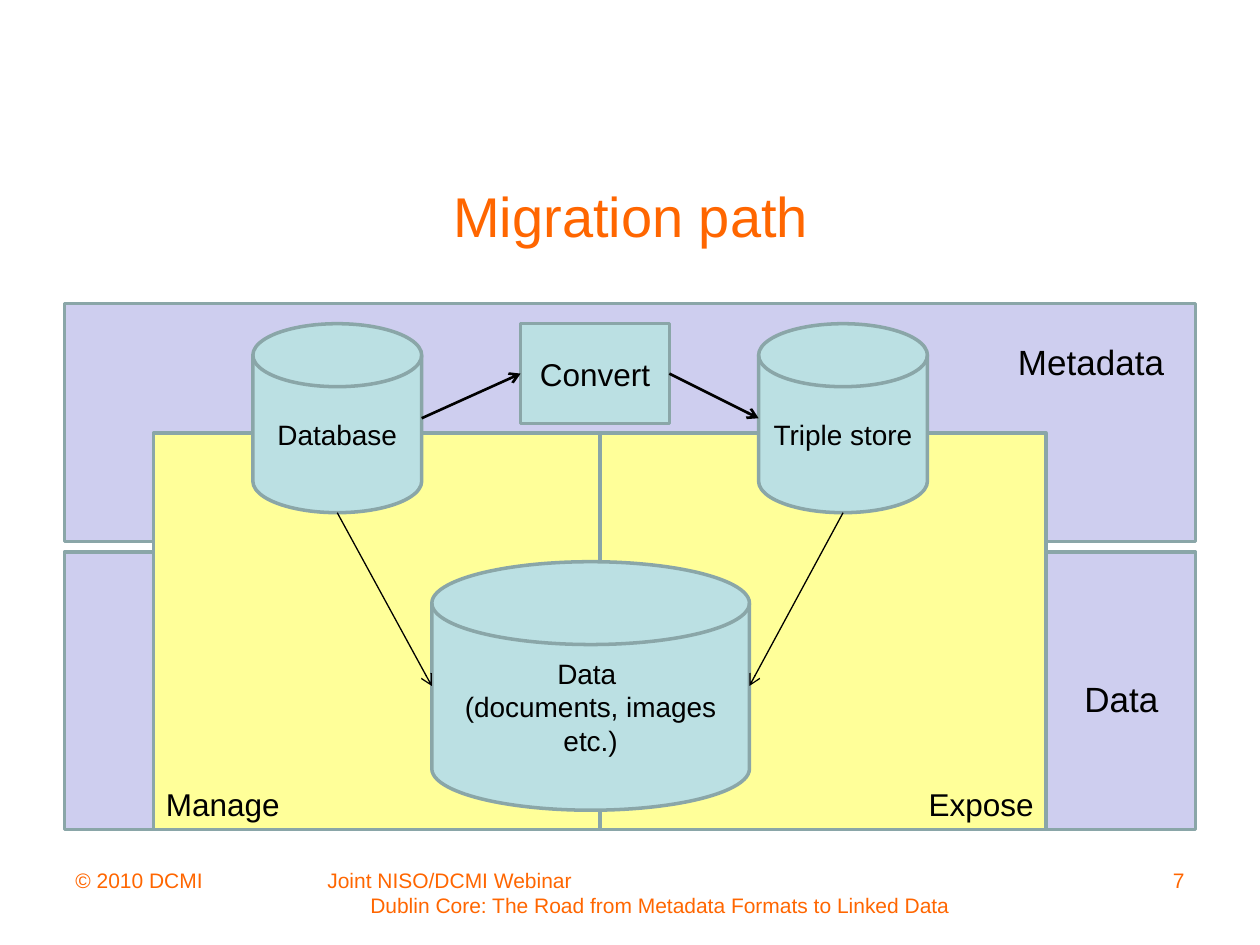
from dataclasses import dataclass
from lxml.etree import SubElement
from pptx import Presentation
from pptx.dml.color import RGBColor
from pptx.enum.shapes import MSO_CONNECTOR, MSO_SHAPE
from pptx.enum.text import MSO_ANCHOR, PP_ALIGN
from pptx.oxml.ns import qn
from pptx.util import Pt


@dataclass(frozen=True)
class Theme:
    font: str = "Arial"
    ink: str = "000000"
    accent: str = "FF6600"
    edge: str = "8AA6A8"
    band: str = "CECEEF"
    panel: str = "FFFF99"
    node: str = "BBE0E3"
    title: int = 32
    label: int = 20
    body: int = 18
    small: int = 16
    foot: int = 12


T = Theme()
LEFT, MID, RIGHT = PP_ALIGN.LEFT, PP_ALIGN.CENTER, PP_ALIGN.RIGHT
TOP, CORE, BASE = MSO_ANCHOR.TOP, MSO_ANCHOR.MIDDLE, MSO_ANCHOR.BOTTOM
RECT, DISK = MSO_SHAPE.RECTANGLE, MSO_SHAPE.FLOWCHART_MAGNETIC_DISK

deck = Presentation()
deck.slide_width, deck.slide_height = Pt(720), Pt(540)
slide = deck.slides.add_slide(deck.slide_layouts[6])
shapes = slide.shapes


def write(shape, lines, size, align=MID, anchor=CORE, color=T.ink):
    frame = shape.text_frame
    frame.text = "\n".join(lines)
    for key, val in {"word_wrap": True, "vertical_anchor": anchor}.items():
        setattr(frame, key, val)
    for para in frame.paragraphs:
        para.alignment = align
        for key, val in {"name": T.font, "size": Pt(size)}.items():
            setattr(para.font, key, val)
        para.font.color.rgb = RGBColor.from_string(color)
    return frame


def block(kind, box, fill):
    shape = shapes.add_shape(kind, *map(Pt, box))
    shape.shadow.inherit = False
    shape.fill.solid()
    shape.fill.fore_color.rgb = RGBColor.from_string(fill)
    shape.line.color.rgb = RGBColor.from_string(T.edge)
    shape.line.width = Pt(2)
    return shape


# Bands for data and metadata
for top, high in ((315.5, 158.5), (173.5, 136)):
    block(RECT, (36.75, top, 646.5, high), T.band)

# Panels for the two roles
wide = 255
for col, word, align in ((1, "Expose", RIGHT), (0, "Manage", LEFT)):
    panel = block(RECT, (87.75 + col * wide, 247.5, wide, 226.5), T.panel)
    write(panel, [word], T.body, align, BASE)

# Disks and the convert step
data = (246.75, 321, 181.5, 142)
base = (144.5, 185, 96.5, 108)
store = (433.5, *base[1:])
step = (297.5, 185, 85, 57)
for kind, box, lines, size in (
    (DISK, base, ["Database"], T.small),
    (DISK, data, ["Data ", "(documents, images etc.)"], T.small),
    (DISK, store, ["Triple store"], T.small),
    (RECT, step, ["Convert"], T.body),
):
    write(block(kind, box, T.node), lines, size)

# Title, band labels and footer
for box, lines, size, align, anchor, color in (
    ((36.5, 94.5, 648, 57), ["Migration path"], T.title, MID, CORE, T.accent),
    ((569.5, 191, 108, 31.5), ["Metadata"], T.label, MID, TOP, T.ink),
    ((604, 383.5, 73.5, 31.5), ["Data"], T.label, MID, TOP, T.ink),
    ((36, 492, 137, 37.5), ["© 2010 DCMI"], T.foot, LEFT, TOP, T.accent),
    ((558.5, 492, 125.5, 37.5), ["7"], T.foot, RIGHT, TOP, T.accent),
):
    write(shapes.add_textbox(*map(Pt, box)), lines, size, align, anchor, color)

# Event name: first line at left, second line centred with an indent
event = shapes.add_textbox(Pt(180), Pt(492), Pt(374.5), Pt(37.5))
lines = ["Joint NISO/DCMI Webinar",
         "Dublin Core: The Road from Metadata Formats to Linked Data"]
first, second = write(event, lines, T.foot, MID, TOP, T.accent).paragraphs
first.alignment = LEFT
second._p.get_or_add_pPr().set("marL", str(Pt(20)))

# Arrows between the edges of the nodes
sides = {"l": (0, 0.5), "r": (1, 0.5), "b": (0.5, 1)}
for start, out, end, into, width in (
    (base, "r", step, "l", 1.5),
    (step, "r", store, "l", 1.5),
    (base, "b", data, "l", 0.75),
    (store, "b", data, "r", 0.75),
):
    ends = []
    for (x, y, w, h), side in ((start, out), (end, into)):
        dx, dy = sides[side]
        ends += [Pt(x + w * dx), Pt(y + h * dy)]
    arrow = shapes.add_connector(MSO_CONNECTOR.STRAIGHT, *ends)
    arrow.line.color.rgb = RGBColor.from_string(T.ink)
    arrow.line.width = Pt(width)
    SubElement(arrow.line._get_or_add_ln(), qn("a:tailEnd"), type="arrow")
    SubElement(arrow._element.spPr, qn("a:effectLst"))

deck.save("out.pptx")
